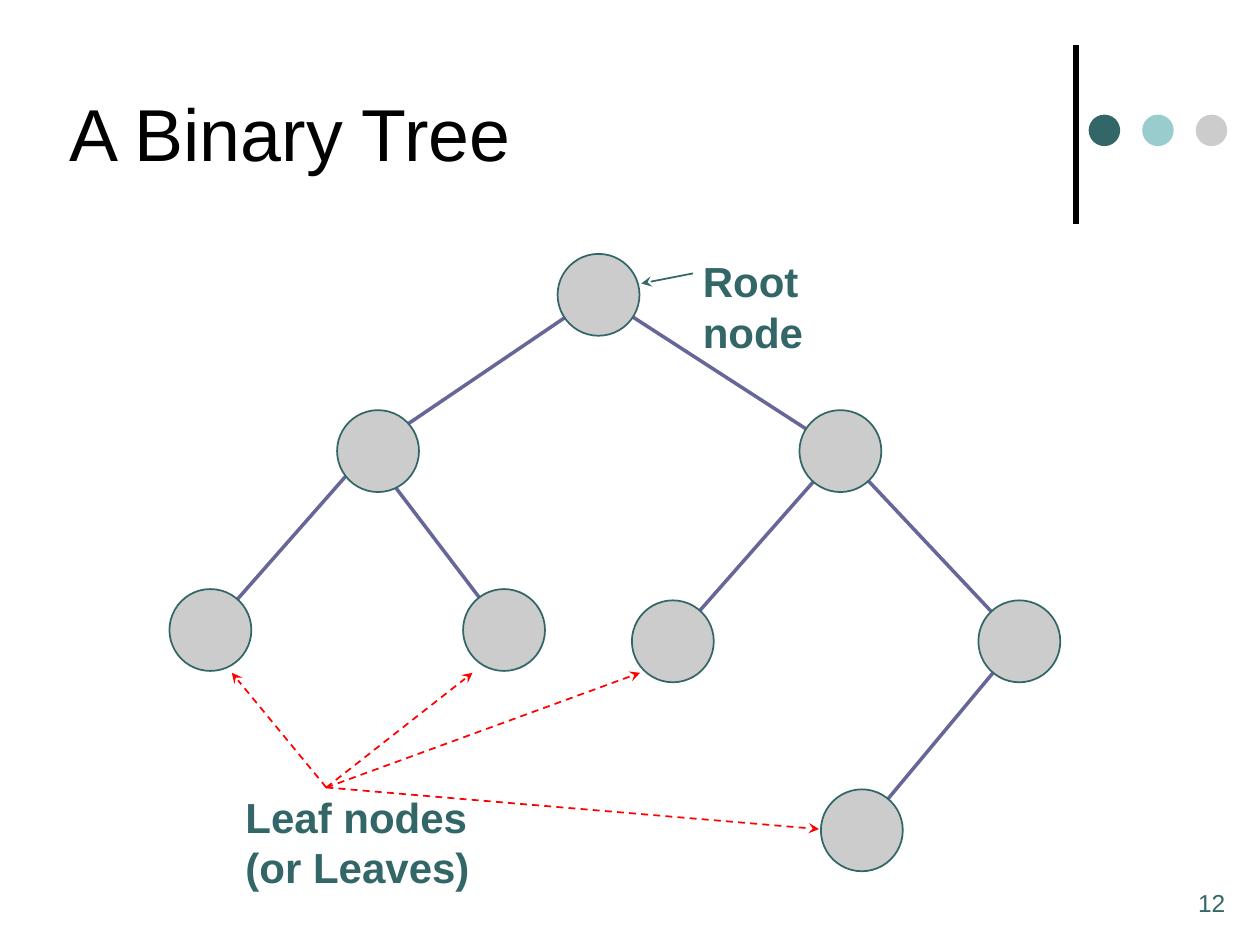
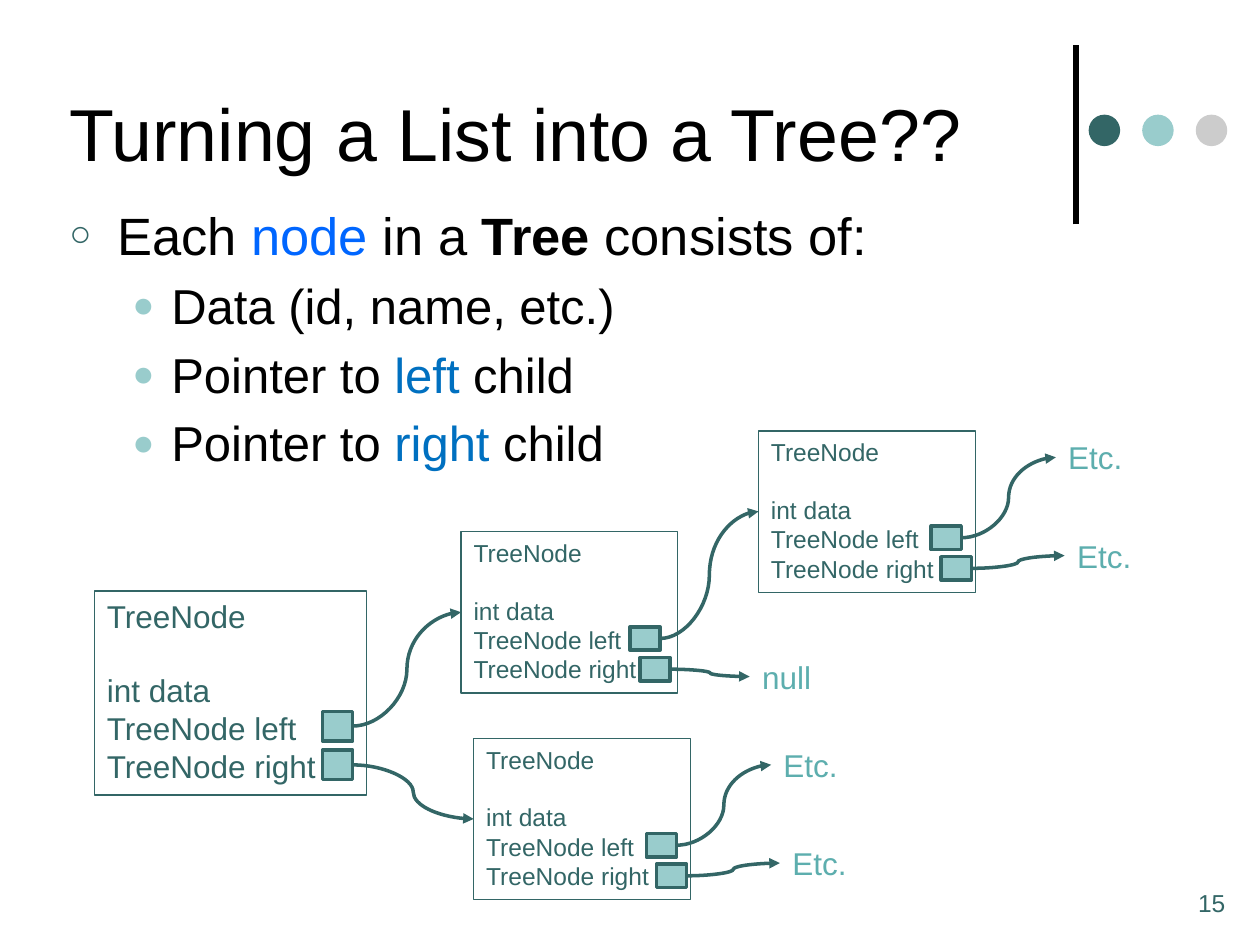
"""Build two slides on binary trees: the shape of a tree and the node record."""
import dataclasses

import lxml.etree
import pptx
import pptx.dml.color
import pptx.enum.dml
import pptx.enum.shapes
import pptx.enum.text
import pptx.oxml.ns
import pptx.util

RGBColor = pptx.dml.color.RGBColor
BLACK = RGBColor(0x00, 0x00, 0x00)
TEAL = RGBColor(0x33, 0x66, 0x66)
AQUA = RGBColor(0x99, 0xCC, 0xCC)
SEA = RGBColor(0x5D, 0xAE, 0xAE)
GREY = RGBColor(0xCC, 0xCC, 0xCC)
VIOLET = RGBColor(0x66, 0x66, 0x99)
RED = RGBColor(0xFF, 0x00, 0x00)
NODE_BLUE = RGBColor(0x00, 0x66, 0xFF)
SIDE_BLUE = RGBColor(0x00, 0x70, 0xC0)

FONT = "Arial"
WIDTH, HEIGHT = pptx.util.Inches(10), pptx.util.Inches(7.5)
COLUMN, ROW = WIDTH / 100, HEIGHT / 75
SHAPES = pptx.enum.shapes.MSO_SHAPE
CONNECTORS = pptx.enum.shapes.MSO_CONNECTOR
ANCHORS = pptx.enum.text.MSO_ANCHOR


@dataclasses.dataclass
class Box:
    """A rectangle in columns and rows of the slide grid."""
    left: float
    top: float
    width: float
    height: float

    def inside(self, left, top, width, height):
        """Return a box placed relative to this one."""
        return Box(self.left + left, self.top + top, width, height)

    def point(self, across, down):
        """Return a point relative to this box, in EMU."""
        return round((self.left + across) * COLUMN), round((self.top + down) * ROW)

    def frame(self):
        """Return left, top, width and height in EMU."""
        return (*self.point(0, 0), round(self.width * COLUMN), round(self.height * ROW))


TITLE_BOX = Box(4.5, 2.1, 76.7, 16.7)
BODY_BOX = Box(4.5, 15.6, 85.7, 54.2)
BAND_BOX = Box(85.4, 3.6, 12, 14.2)
NUMBER_BOX = Box(94.1, 70, 5.9, 5)
TREE_BOX = Box(10, 19, 75, 51)
RECORDS_BOX = Box(7.5, 34.2, 84, 37.2)

NODE_SIZE = 6.5
NODES = {
    "root": (37.5, 4.4),
    "left": (20, 16.8),
    "right": (56.7, 16.8),
    "left left": (6.7, 31),
    "left right": (30, 31),
    "right left": (43.4, 31.9),
    "right right": (70.9, 31.9),
    "right right left": (58.4, 46.9),
}
JOINTS = {**NODES, "left": (19.2, 16.8)}
EDGES = [
    ("left left", "left"), ("left", "root"), ("root", "right"),
    ("right", "right right"), ("right right", "right right left"),
    ("right", "right left"), ("left", "left right"),
]
LEAF_ORIGIN = (15.9, 43.5)
LEAF_TARGETS = [(8.4, 34.4), (27.5, 34.4), (40.8, 34.4), (55, 46.8)]

RECORD_LINES = ["TreeNode", "int data", "TreeNode left", "TreeNode right"]
SMALL_RECORD = (17.2, 12.8)
BODY_LINES = [
    (0, [("Each ", BLACK, False), ("node", NODE_BLUE, False), (" in a ", BLACK, False),
         ("Tree ", BLACK, True), ("consists of:", BLACK, False)]),
    (1, [("Data (id, name, etc.)", BLACK, False)]),
    (1, [("Pointer to ", BLACK, False), ("left", SIDE_BLUE, False),
         (" child", BLACK, False)]),
    (1, [("Pointer to ", BLACK, False), ("right", SIDE_BLUE, False),
         (" child", BLACK, False)]),
]
LEVELS = [
    {"size": 30, "margin": 0.38, "hang": 0.38, "mark": "○", "colour": TEAL, "percent": 70},
    {"size": 28, "margin": 0.81, "hang": 0.31, "mark": "●", "colour": AQUA, "percent": 75},
]


def add_xml(parent, tag, **attributes):
    """Append a DrawingML element and return it."""
    return lxml.etree.SubElement(parent, pptx.oxml.ns.qn(tag), attributes)


def format_run(run, size, colour, bold=False):
    """Set the font of one run."""
    run.font.name = FONT
    run.font.size = pptx.util.Pt(size)
    run.font.bold = bold
    run.font.color.rgb = colour


def format_text(text_frame, size, colour, bold=False):
    """Left-align all paragraphs and set the font of their runs."""
    for paragraph in text_frame.paragraphs:
        paragraph.alignment = pptx.enum.text.PP_ALIGN.LEFT
        for run in paragraph.runs:
            format_run(run, size, colour, bold)


def add_label(slide, box, text, size, colour, bold=False):
    """Add a text box and return it."""
    label = slide.shapes.add_textbox(*box.frame())
    label.text_frame.word_wrap = True
    label.text_frame.text = text
    format_text(label.text_frame, size, colour, bold)
    return label


def add_outline(slide, preset, box, fill=None, line=None, weight=1):
    """Add a flat preset shape and return it."""
    shape = slide.shapes.add_shape(preset, *box.frame())
    shape.shadow.inherit = False
    if fill is None:
        shape.fill.background()
    else:
        shape.fill.solid()
        shape.fill.fore_color.rgb = fill
    if line is None:
        shape.line.fill.background()
    else:
        shape.line.color.rgb = line
        shape.line.width = pptx.util.Pt(weight)
    return shape


def add_line(slide, start, end, colour, weight, head=None, dashed=False,
             kind=CONNECTORS.STRAIGHT):
    """Add a connector between two points and return it."""
    connector = slide.shapes.add_connector(kind, *start, *end)
    connector.line.color.rgb = colour
    connector.line.width = pptx.util.Pt(weight)
    if dashed:
        connector.line.dash_style = pptx.enum.dml.MSO_LINE.DASH
    properties = connector.element.spPr
    if head:
        add_xml(properties.find(pptx.oxml.ns.qn("a:ln")), "a:tailEnd", type=head)
    add_xml(properties, "a:effectLst")
    return connector


def link(slide, slot, target):
    """Join the right side of a slot to the left side of its target."""
    connector = add_line(slide, (0, 0), (1, 1), TEAL, 2, "triangle", kind=CONNECTORS.CURVE)
    connector.begin_connect(slot, 3)
    connector.end_connect(target, 1)


def draw_band(slide, box):
    """Draw the vertical rule and the three dots beside the title."""
    add_line(slide, box.point(0, box.height), box.point(0, 0), BLACK, 3)
    for index, colour in enumerate((TEAL, AQUA, GREY)):
        dot = box.inside(1 + 4.25 * index, 5.5, 2.5, 2.5)
        add_outline(slide, SHAPES.OVAL, dot, colour)


def place(placeholder, box, anchor):
    """Move a placeholder to a box and switch off text fitting."""
    placeholder.left, placeholder.top, placeholder.width, placeholder.height = box.frame()
    placeholder.text_frame.auto_size = pptx.enum.text.MSO_AUTO_SIZE.NONE
    placeholder.text_frame.vertical_anchor = anchor


def start_slide(presentation, layout, title, number):
    """Add a slide with its title, band and number."""
    slide = presentation.slides.add_slide(presentation.slide_layouts.get_by_name(layout))
    place(slide.shapes.title, TITLE_BOX, ANCHORS.MIDDLE)
    slide.shapes.title.text_frame.text = title
    format_text(slide.shapes.title.text_frame, 42, BLACK)
    draw_band(slide, BAND_BOX)
    add_label(slide, NUMBER_BOX, number, 14, TEAL)
    return slide


def draw_tree(slide, box):
    """Draw edges, nodes and the notes that name root and leaves."""
    for first, second in EDGES:
        add_line(slide, box.point(*JOINTS[first]), box.point(*JOINTS[second]), VIOLET, 2)
    for across, down in NODES.values():
        node = box.inside(across - NODE_SIZE / 2, down - NODE_SIZE / 2, NODE_SIZE, NODE_SIZE)
        add_outline(slide, SHAPES.OVAL, node, GREY, TEAL)
    add_label(slide, box.inside(44.8, 0.8, 14, 9.1), "Root node", 24, TEAL, True)
    add_label(slide, box.inside(8.5, 43.3, 21, 9.1), "Leaf nodes\v(or Leaves)", 24, TEAL, True)
    add_line(slide, box.point(45, 2.7), box.point(40.9, 3.5), TEAL, 1, "stealth")
    for target in LEAF_TARGETS:
        add_line(slide, box.point(*LEAF_ORIGIN), box.point(*target), RED, 1, "stealth", True)


def set_bullet(paragraph, level):
    """Give a paragraph the indent and bullet of its level."""
    properties = paragraph._p.get_or_add_pPr()
    properties.set("marL", str(pptx.util.Inches(level["margin"])))
    properties.set("indent", str(-pptx.util.Inches(level["hang"])))
    add_xml(add_xml(properties, "a:buClr"), "a:srgbClr", val=str(level["colour"]))
    add_xml(properties, "a:buSzPct", val=str(level["percent"] * 1000))
    add_xml(properties, "a:buFont", typeface=FONT)
    add_xml(properties, "a:buChar", char=level["mark"])


def fill_body(placeholder, box):
    """Write the two-level list in the body placeholder."""
    place(placeholder, box, ANCHORS.TOP)
    text_frame = placeholder.text_frame
    for index, (depth, pieces) in enumerate(BODY_LINES):
        paragraph = text_frame.add_paragraph() if index else text_frame.paragraphs[0]
        paragraph.level = depth
        set_bullet(paragraph, LEVELS[depth])
        for text, colour, bold in pieces:
            run = paragraph.add_run()
            run.text = text
            format_run(run, LEVELS[depth]["size"], colour, bold)


def draw_record(slide, box, size, slot_left, slot_step):
    """Draw one node record and return it with its left and right slots."""
    record = add_outline(slide, SHAPES.RECTANGLE, box, line=TEAL, weight=0.75)
    text_frame = record.text_frame
    text_frame.word_wrap = True
    text_frame.vertical_anchor = ANCHORS.TOP
    text_frame.text = "\n".join(RECORD_LINES)
    format_text(text_frame, size, TEAL)
    text_frame.paragraphs[1].space_before = pptx.util.Pt(round(size * 1.15, 1))
    slots = []
    for index, share in enumerate((0.59, 0.78)):
        slot = box.inside(slot_left + slot_step * index, share * box.height,
                          2.4, 0.145 * box.height)
        slots.append(add_outline(slide, SHAPES.RECTANGLE, slot, AQUA, TEAL, 2))
    return record, *slots


def draw_open_ends(slide, box, slots):
    """Lead both slots of a record to a label at its right."""
    for index, slot in enumerate(slots):
        end = box.inside(box.width + 6.4 + 0.7 * index, 0.1 + 7.8 * index, 6.4, 4)
        link(slide, slot, add_label(slide, end, "Etc.", 18, SEA))


def draw_records(slide, box):
    """Draw the linked node records."""
    upper_box = box.inside(22.8, 17.6 - 9.6, *SMALL_RECORD)
    lower_box = box.inside(30.1, 24.4, *SMALL_RECORD)
    far_box = box.inside(52.7, 0, *SMALL_RECORD)
    upper_box = box.inside(29.1, 8, *SMALL_RECORD)
    _, first_left, first_right = draw_record(
        slide, box.inside(0, 12.7, 21.6, 16.2), 18, 18.1, 0)
    upper, upper_left, upper_right = draw_record(slide, upper_box, 14, 13.4, 0.8)
    lower, *lower_slots = draw_record(slide, lower_box, 14, 13.7, 0.8)
    far, *far_slots = draw_record(slide, far_box, 14, 13.7, 0.8)
    link(slide, first_left, upper)
    link(slide, first_right, lower)
    link(slide, upper_left, far)
    null = add_label(slide, upper_box.inside(22.9, 9.5, 5.9, 4), "null", 18, SEA)
    link(slide, upper_right, null)
    draw_open_ends(slide, lower_box, lower_slots)
    draw_open_ends(slide, far_box, far_slots)


def main():
    """Build and save the presentation."""
    presentation = pptx.Presentation()
    presentation.slide_width, presentation.slide_height = WIDTH, HEIGHT
    tree_slide = start_slide(presentation, "Title Only", "A Binary Tree", "12")
    draw_tree(tree_slide, TREE_BOX)
    list_slide = start_slide(presentation, "Title and Content",
                             "Turning a List into a Tree??", "15")
    fill_body(list_slide.placeholders[1], BODY_BOX)
    draw_records(list_slide, RECORDS_BOX)
    presentation.save("out.pptx")


if __name__ == "__main__":
    main()
